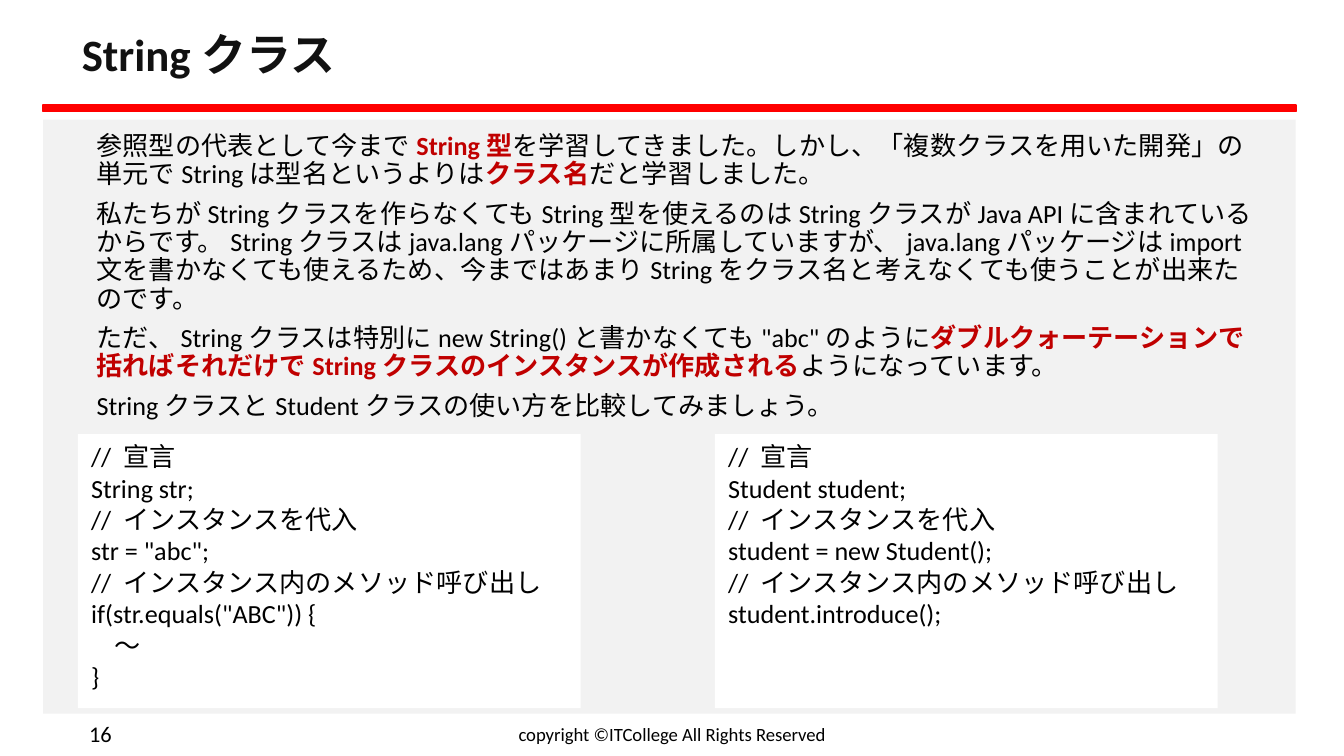
from pptx import Presentation
from pptx.dml.color import RGBColor
from pptx.enum.shapes import MSO_SHAPE as Shape
from pptx.enum.text import MSO_ANCHOR as Anchor, PP_ALIGN as Align
from pptx.util import Inches, Pt

FONT = "Calibri"
COLORS = {
    "panel": "F2F2F2",
    "rule": "FF0000",
    "code": "FFFFFF",
    "title": "111111",
    "text": "000000",
    "emphasis": "C00000",
}

# Each paragraph alternates plain and emphasised pieces, starting with plain.
EXPLANATION = [
    ["参照型の代表として今まで", "String型",
     "を学習してきました。しかし、「複数クラスを用いた開発」の単元でStringは型名というよりは",
     "クラス名", "だと学習しました。"],
    ["私たちがStringクラスを作らなくてもString型を使えるのはStringクラスがJava APIに含まれているからです。"
     "Stringクラスはjava.langパッケージに所属していますが、java.langパッケージはimport文を書かなくても"
     "使えるため、今まではあまりStringをクラス名と考えなくても使うことが出来たのです。"],
    ["ただ、Stringクラスは特別にnew String()と書かなくても\"abc\"のように",
     "ダブルクォーテーションで括ればそれだけでStringクラスのインスタンスが作成される",
     "ようになっています。"],
    ["StringクラスとStudentクラスの使い方を比較してみましょう。"],
]

STRING_CODE = """// 宣言
String str;
// インスタンスを代入
str = "abc";
// インスタンス内のメソッド呼び出し
if(str.equals("ABC")) {
    ～
}"""

STUDENT_CODE = """// 宣言
Student student;
// インスタンスを代入
student = new Student();
// インスタンス内のメソッド呼び出し
student.introduce();"""


def rgb(name):
    return RGBColor.from_string(COLORS[name])


def style_font(font, size, color="text", bold=False):
    font.name = FONT
    font.size = Pt(size)
    font.bold = bold
    font.color.rgb = rgb(color)


def add_rectangle(slide, left, top, width, height, color, line_width=0):
    shape = slide.shapes.add_shape(
        Shape.RECTANGLE, Inches(left), Inches(top), Inches(width), Inches(height))
    shape.shadow.inherit = False
    shape.fill.solid()
    shape.fill.fore_color.rgb = rgb(color)
    if line_width:
        shape.line.color.rgb = rgb(color)
        shape.line.width = Pt(line_width)
    else:
        shape.line.fill.background()
    return shape


def add_text_frame(slide, left, top, width, height, anchor=Anchor.MIDDLE):
    box = slide.shapes.add_textbox(
        Inches(left), Inches(top), Inches(width), Inches(height))
    text_frame = box.text_frame
    text_frame.word_wrap = True
    text_frame.vertical_anchor = anchor
    return text_frame


def add_label(slide, left, top, width, height, text, size, align,
              color="text", bold=False):
    """Add a single-line text box, centred vertically."""
    text_frame = add_text_frame(slide, left, top, width, height)
    text_frame.text = text
    paragraph = text_frame.paragraphs[0]
    paragraph.alignment = align
    style_font(paragraph.runs[0].font, size, color, bold)
    return text_frame


def add_title(slide):
    text_frame = add_label(slide, 0.51, 0.13, 8.99, 0.59, "Stringクラス", 24,
                           Align.LEFT, "title", bold=True)
    text_frame.margin_top = text_frame.margin_bottom = Inches(0.1)
    text_frame.paragraphs[0].line_spacing = 0.9


def add_explanation(slide):
    text_frame = add_text_frame(slide, 0.51, 0.94, 8.99, 4.29, Anchor.TOP)
    for number, pieces in enumerate(EXPLANATION):
        paragraph = text_frame.add_paragraph() if number else text_frame.paragraphs[0]
        paragraph.line_spacing = 0.9
        paragraph.space_before = Pt(6 if number else 0)
        properties = paragraph._p.get_or_add_pPr()
        properties.set("marL", str(Inches(0.11)))
        properties.set("indent", "0")
        for index, piece in enumerate(pieces):
            run = paragraph.add_run()
            run.text = piece
            emphasised = index % 2 == 1
            style_font(run.font, 14, "emphasis" if emphasised else "text", emphasised)


def add_code(slide, left, code):
    shape = add_rectangle(slide, left, 3.23, 3.74, 2.04, "code")
    text_frame = shape.text_frame
    text_frame.word_wrap = True
    text_frame.vertical_anchor = Anchor.TOP
    text_frame.text = code
    for paragraph in text_frame.paragraphs:
        paragraph.alignment = Align.LEFT
        for run in paragraph.runs:
            style_font(run.font, 14)


def main():
    presentation = Presentation()
    presentation.slide_width = Inches(10)
    presentation.slide_height = Inches(10) * 9 // 16
    slide = presentation.slides.add_slide(presentation.slide_layouts[6])

    add_rectangle(slide, 0.32, 0.89, 9.32, 4.42, "panel")
    add_rectangle(slide, 0.32, 0.78, 9.32, 0.05, "rule", line_width=1)
    add_label(slide, 3.31, 5.32, 3.38, 0.28,
              "copyright ©ITCollege All Rights Reserved", 10, Align.CENTER)
    add_title(slide)
    add_label(slide, 0.24, 5.32, 0.69, 0.28, "16", 12, Align.RIGHT)
    add_explanation(slide)
    add_code(slide, 0.58, STRING_CODE)
    add_code(slide, 5.32, STUDENT_CODE)

    presentation.save("out.pptx")


if __name__ == "__main__":
    main()
